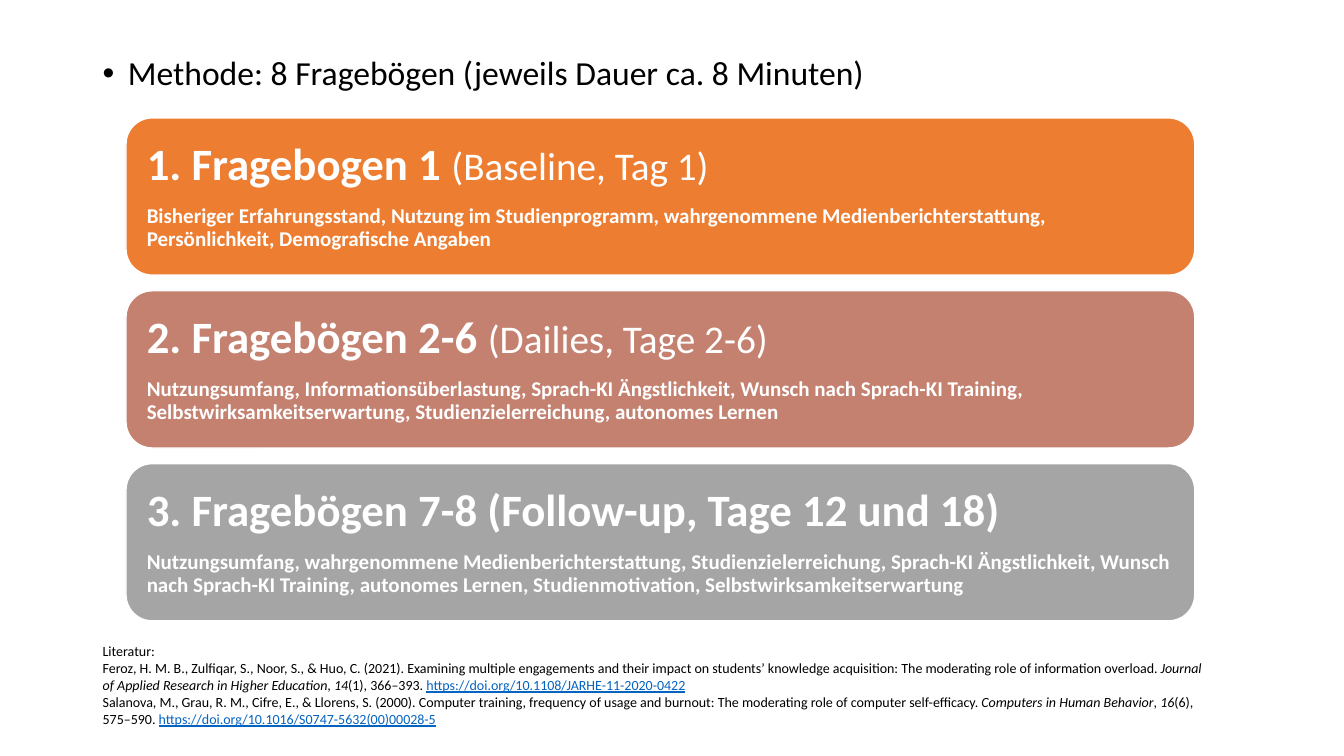
from dataclasses import dataclass

from lxml.etree import SubElement
from pptx import Presentation
from pptx.dml.color import RGBColor
from pptx.enum.shapes import MSO_SHAPE
from pptx.enum.text import MSO_ANCHOR, PP_ALIGN
from pptx.oxml.ns import qn
from pptx.slide import Slide
from pptx.text.text import TextFrame, _Paragraph
from pptx.util import Inches, Pt


@dataclass(frozen=True)
class Theme:
    """Font, colours and type sizes of the slide."""
    font: str = "Calibri"
    black: RGBColor = RGBColor(0, 0, 0)
    white: RGBColor = RGBColor(255, 255, 255)
    link: RGBColor = RGBColor(0x05, 0x63, 0xC1)
    orange: RGBColor = RGBColor(0xED, 0x7D, 0x31)
    rose: RGBColor = RGBColor(0xC4, 0x81, 0x70)
    grey: RGBColor = RGBColor(0xA5, 0xA5, 0xA5)
    method: float = 24
    heading: float = 32
    timing: float = 28
    topics: float = 15
    literature: float = 10


@dataclass(frozen=True)
class Phase:
    """One survey phase: heading, lighter timing note and topics."""
    heading: str
    timing: str
    topics: str
    color: RGBColor


@dataclass(frozen=True)
class Reference:
    """One literature entry."""
    work: str
    journal: str
    volume: str
    pages: str
    doi: str


THEME = Theme()
PHASES = [
    Phase("1. Fragebogen 1 ", "(Baseline, Tag 1)",
          "Bisheriger Erfahrungsstand, Nutzung im Studienprogramm, wahrgenommene "
          "Medienberichterstattung, Persönlichkeit, Demografische Angaben", THEME.orange),
    Phase("2. Fragebögen 2-6 ", "(Dailies, Tage 2-6)",
          "Nutzungsumfang, Informationsüberlastung, Sprach-KI Ängstlichkeit, Wunsch nach "
          "Sprach-KI Training, Selbstwirksamkeitserwartung, Studienzielerreichung, "
          "autonomes Lernen", THEME.rose),
    Phase("3. Fragebögen 7-8 (Follow-up, Tage 12 und 18)", "",
          "Nutzungsumfang, wahrgenommene Medienberichterstattung, Studienzielerreichung, "
          "Sprach-KI Ängstlichkeit, Wunsch nach Sprach-KI Training, autonomes Lernen, "
          "Studienmotivation, Selbstwirksamkeitserwartung", THEME.grey),
]
REFERENCES = [
    Reference("Feroz, H. M. B., Zulfiqar, S., Noor, S., & Huo, C. (2021). Examining multiple "
              "engagements and their impact on students’ knowledge acquisition: The "
              "moderating role of information overload. ",
              "Journal of Applied Research in Higher Education", "14", "(1), 366–393. ",
              "https://doi.org/10.1108/JARHE-11-2020-0422"),
    Reference("Salanova, M., Grau, R. M., Cifre, E., & Llorens, S. (2000). Computer training, "
              "frequency of usage and burnout: The moderating role of computer "
              "self-efficacy. ",
              "Computers in Human Behavior", "16", "(6), 575–590. ",
              "https://doi.org/10.1016/S0747-5632(00)00028-5"),
]
MARGIN = 0.92
PHASE_TOP, PHASE_HEIGHT, PHASE_PITCH = 1.17, 1.56, 1.715


def style(paragraph: _Paragraph, size: float, color: RGBColor, bold: bool = False) -> None:
    """Set the font shared by all runs of a paragraph."""
    font = paragraph.font
    font.name, font.size, font.bold = THEME.font, Pt(size), bold
    font.color.rgb = color


def add_text_area(slide: Slide, top: float, width: float, height: float) -> TextFrame:
    """Add a wrapping text box at the left margin."""
    frame = slide.shapes.add_textbox(
        Inches(MARGIN), Inches(top), Inches(width), Inches(height)).text_frame
    frame.word_wrap = True
    return frame


def add_method(slide: Slide) -> None:
    """Add the bulleted line on the method."""
    method = add_text_area(slide, 0.51, 11.5, 0.83).paragraphs[0]
    method.text = "Methode: 8 Fragebögen (jeweils Dauer ca. 8 Minuten)"
    method.line_spacing = 0.9
    method.space_before = Pt(10)
    style(method, THEME.method, THEME.black)
    properties = method._p.get_or_add_pPr()
    properties.set("marL", str(Inches(0.25)))
    properties.set("indent", str(-Inches(0.25)))
    bullet_font = SubElement(properties, qn("a:buFont"))
    bullet_font.set("typeface", "Arial")
    SubElement(properties, qn("a:buChar")).set("char", "•")
    properties.append(properties.find(qn("a:defRPr")))  # schema order: bullet first


def add_phase(slide: Slide, phase: Phase, top: float) -> None:
    """Add the rounded panel of one survey phase."""
    panel = slide.shapes.add_shape(MSO_SHAPE.ROUNDED_RECTANGLE, Inches(1.25), Inches(top),
                                   Inches(10.6), Inches(PHASE_HEIGHT))
    panel.shadow.inherit = False
    panel.fill.solid()
    panel.fill.fore_color.rgb = phase.color
    panel.line.color.rgb = THEME.white
    panel.line.width = Pt(1)
    frame = panel.text_frame
    frame.word_wrap = True
    frame.vertical_anchor = MSO_ANCHOR.MIDDLE
    frame.margin_left = frame.margin_right = Inches(0.13)
    frame.margin_top = frame.margin_bottom = Inches(0.13)

    heading, topics = frame.paragraphs[0], frame.add_paragraph()
    heading.add_run().text = phase.heading
    if phase.timing:
        timing = heading.add_run()
        timing.text = phase.timing
        timing.font.size, timing.font.bold = Pt(THEME.timing), False
    topics.text = phase.topics
    for paragraph, size in ((heading, THEME.heading), (topics, THEME.topics)):
        style(paragraph, size, THEME.white, bold=True)
        paragraph.alignment = PP_ALIGN.LEFT
        paragraph.line_spacing = 0.9
        paragraph.space_after = Pt(size * 0.35)


def add_reference(entry: _Paragraph, reference: Reference) -> None:
    """Write one literature entry with italic journal and volume."""
    parts = ((reference.work, False), (reference.journal, True), (", ", False),
             (reference.volume, True), (reference.pages, False))
    for text, italic in parts:
        part = entry.add_run()
        part.text, part.font.italic = text, italic
    doi = entry.add_run()
    doi.text = reference.doi
    doi.font.underline = True
    doi.font.color.rgb = THEME.link


def add_literature(slide: Slide) -> None:
    """Add the list of literature below the panels."""
    frame = add_text_area(slide, 6.33, 11.17, 0.94)
    frame.paragraphs[0].text = "Literatur:"
    for reference in REFERENCES:
        add_reference(frame.add_paragraph(), reference)
    for paragraph in frame.paragraphs:
        style(paragraph, THEME.literature, THEME.black)


def main() -> None:
    """Build and save the slide."""
    presentation = Presentation()
    presentation.slide_width, presentation.slide_height = Inches(13.33), Inches(7.5)
    slide = presentation.slides.add_slide(presentation.slide_layouts[6])
    add_method(slide)
    for index, phase in enumerate(PHASES):
        add_phase(slide, phase, PHASE_TOP + index * PHASE_PITCH)
    add_literature(slide)
    presentation.save("out.pptx")


main()
